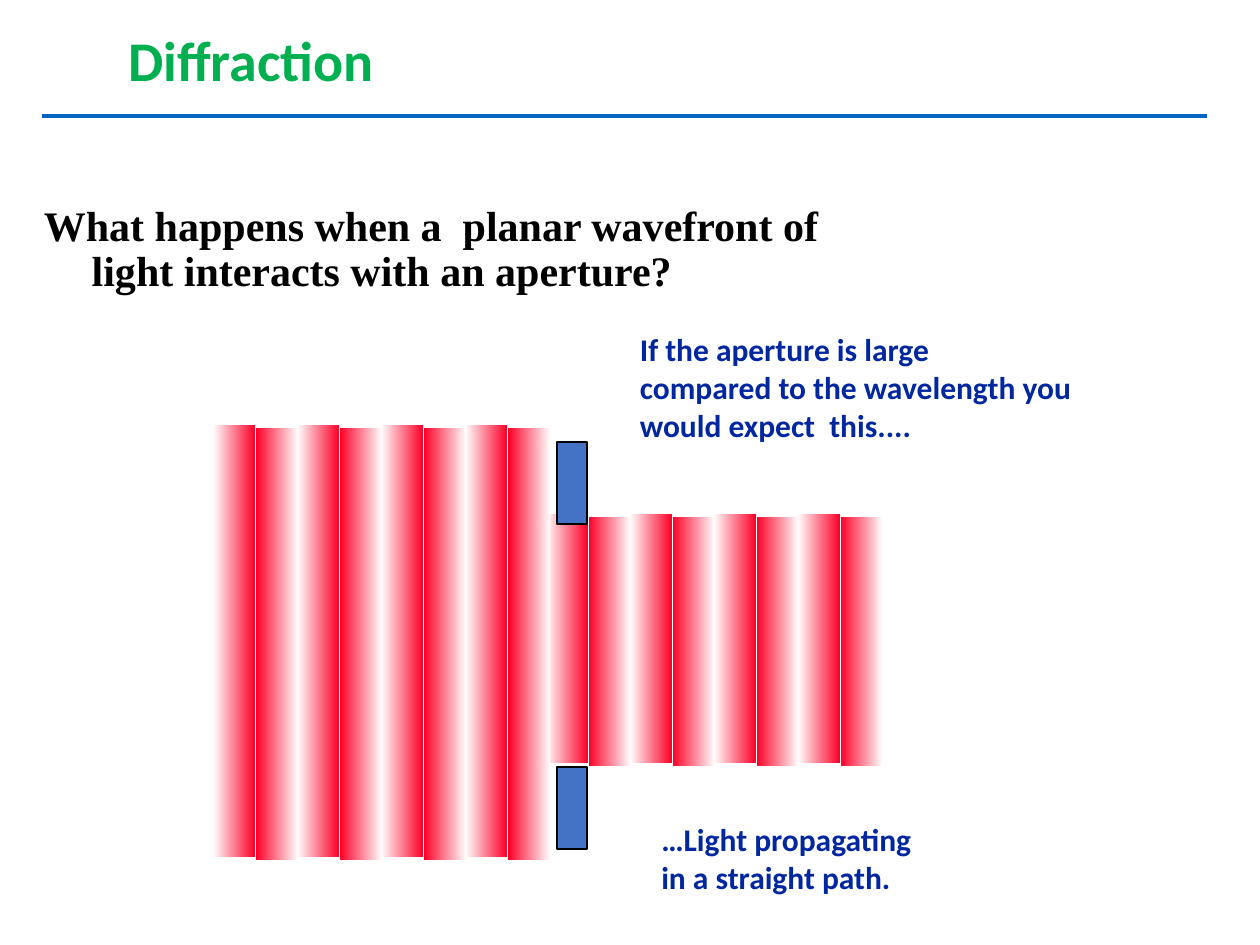
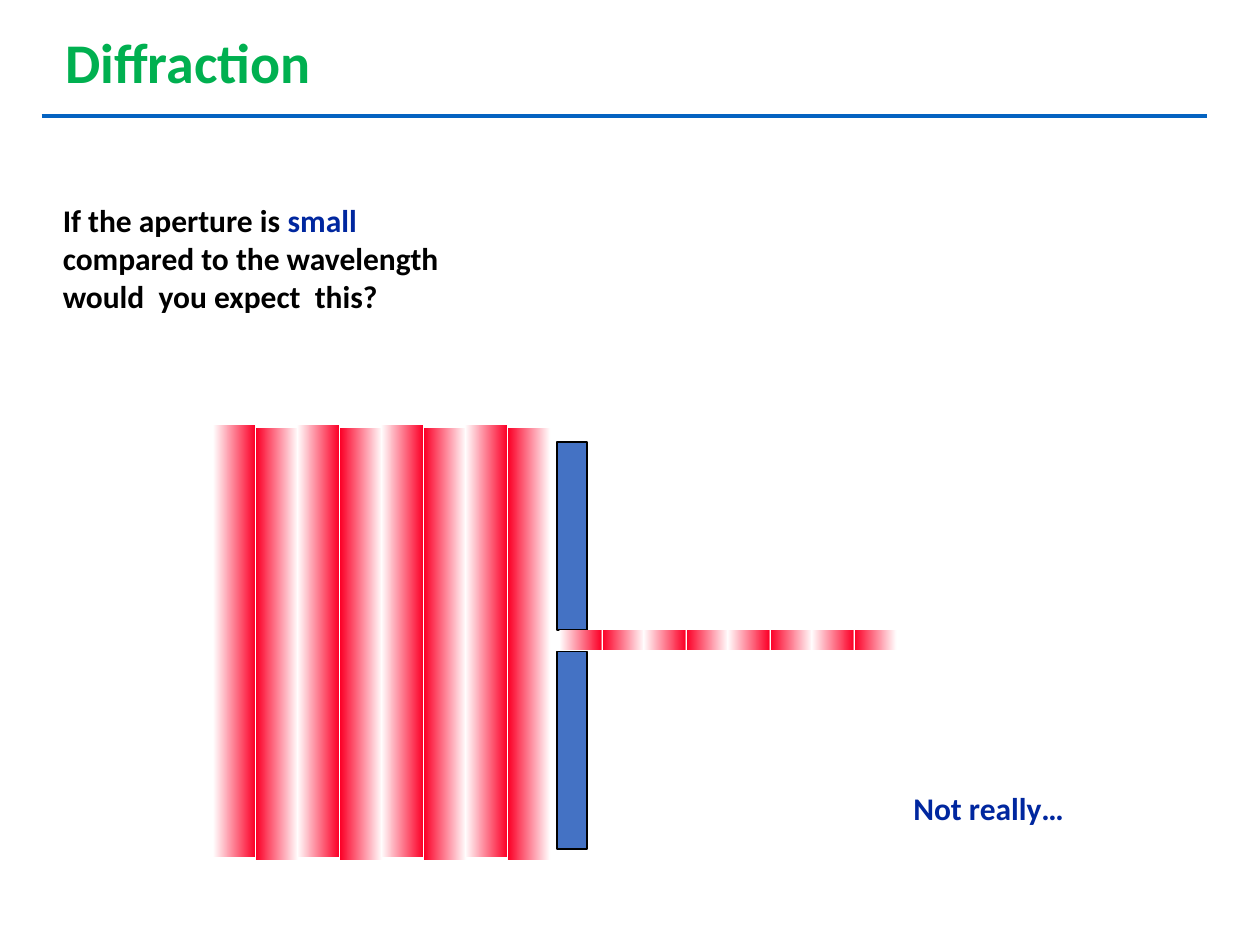
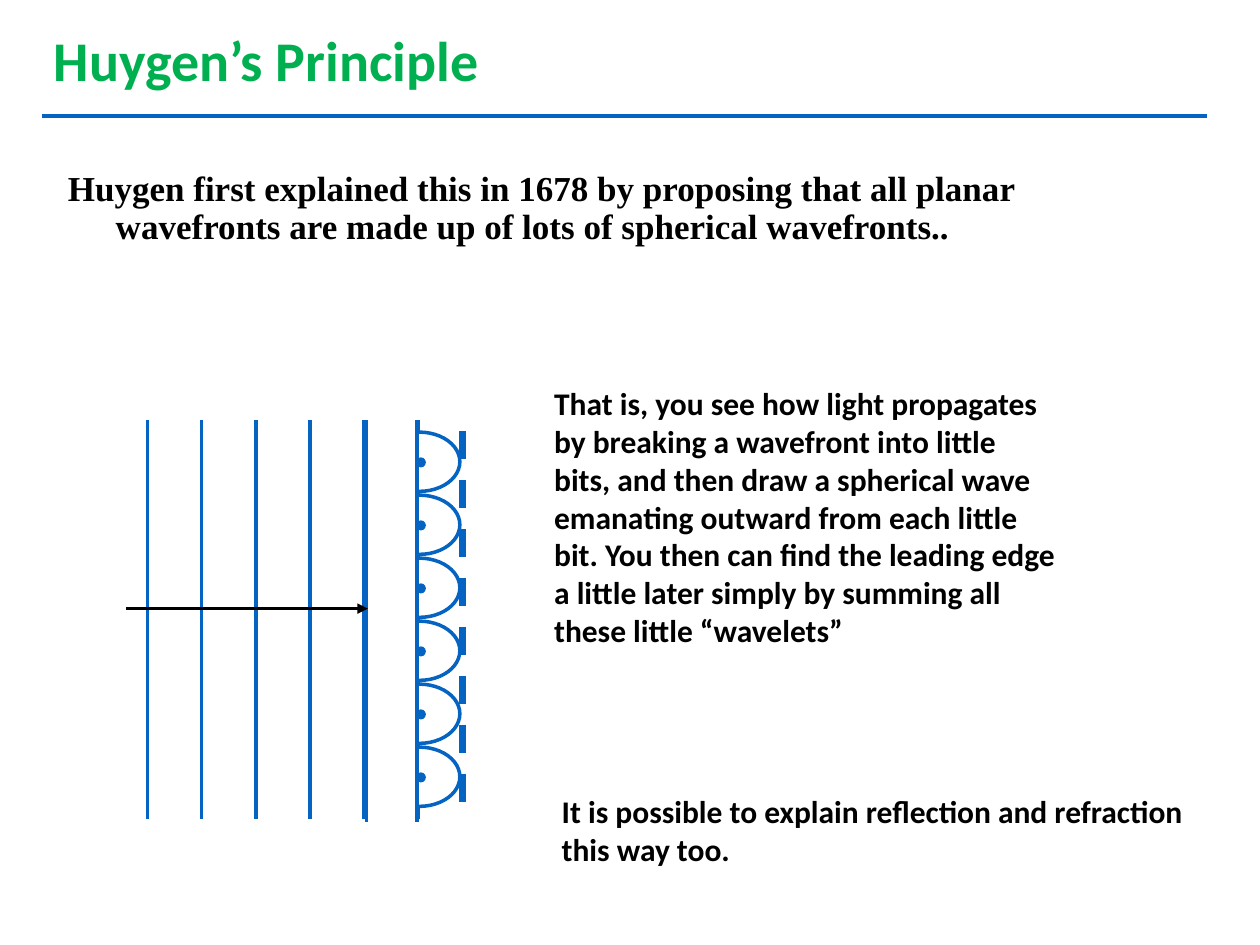
from dataclasses import dataclass

from lxml import etree
from pptx import Presentation
from pptx.dml.color import RGBColor
from pptx.enum.dml import MSO_LINE
from pptx.enum.shapes import MSO_CONNECTOR, MSO_SHAPE
from pptx.enum.text import MSO_ANCHOR, PP_ALIGN
from pptx.oxml.ns import qn
from pptx.util import Inches, Pt

RECTANGLE, OVAL = MSO_SHAPE.RECTANGLE, MSO_SHAPE.OVAL
STRAIGHT = MSO_CONNECTOR.STRAIGHT
DASH = MSO_LINE.DASH
TOP, MIDDLE = MSO_ANCHOR.TOP, MSO_ANCHOR.MIDDLE
LEFT = PP_ALIGN.LEFT


@dataclass(frozen=True)
class Theme:
    title: str = "00B050"
    text: str = "000000"
    note: str = "00279F"
    rule: str = "0563C1"
    barrier: str = "4472C4"
    light: str = "FC0128"
    paper: str = "FFFFFF"
    sans: str = "Calibri"
    serif: str = "Times New Roman"
    title_size: int = 32
    question_size: int = 24
    statement_size: int = 20
    body_size: int = 18


THEME = Theme()

# Areas are (left, top, width, height) in inches.
LARGE_APERTURE = {
    "title": ("Diffraction", (0.92, 0.17, 8.5, 0.67), 0.9),
    "question": ("What happens when a  planar wavefront of light interacts with an aperture?",
                 (0.25, 1.58, 7, 1.92)),
    "expectation": (["If the aperture is large",
                     "compared to the wavelength you",
                     "would expect  this...."], (4.98, 2.57, 4.81, 1.3)),
    "outcome": (["…Light propagating", "in a straight path."], (5.15, 6.46, 3.22, 0.9)),
    "barriers": [(3.51, 0.65), (6.09, 0.65)],
}
SMALL_APERTURE = {
    "title": ("Diffraction", (0.42, 0.17, 5.59, 0.63), 1.0),
    "expectation": (["If the aperture is small",
                     "compared to the wavelength",
                     "would  you expect  this?"], (0.4, 1.55, 5.43, 1.3)),
    "emphasis": "small",
    "outcome": (["Not really…"], (7.15, 6.21, 1.95, 0.5)),
    "barriers": [(3.51, 1.49), (5.17, 1.57)],
}
HUYGEN = {
    "title": ("Huygen’s Principle", (0.33, 0.17, 8.92, 0.67), 0.9),
    "statement": ("Huygen first explained this in 1678 by proposing that all planar "
                  "wavefronts are made up of lots of spherical wavefronts..",
                  (0.44, 1.31, 8.75, 1.3)),
    "explanation": (["That is, you see how light propagates",
                     "by breaking a wavefront into little",
                     "bits, and then draw a spherical wave",
                     "emanating outward from each little",
                     "bit. You then can find the leading edge",
                     "a little later simply by summing all",
                     "these little “wavelets”"], (4.3, 3, 5.76, 2.89)),
    "remark": (["It is possible to explain reflection and refraction this way too."],
               (4.36, 6.24, 5.51, 0.9)),
}

BARRIER_LEFT, BARRIER_WIDTH = 4.42, 0.24
WAVELENGTH = 2 / 3
WAVE_COUNT = 4
INCOMING = {"left": 1.69, "top": 3.37, "height": 3.43, "drop": 0.03}
WIDE_BEAM = {"left": 4.33, "top": 4.08, "height": 1.98, "drop": 0.02}
THIN_BEAM = {"left": 4.44, "top": 5, "height": 0.16, "drop": 0}
FRONT_COUNT, FRONT_LEFT, FRONT_PITCH = 6, 1.17, 0.43
FRONT_TOP, FRONT_BOTTOM = 3.33, 6.5
WAVELET_COUNT, WAVELET_TOP, WAVELET_PITCH = 6, 3.43, 0.5


def color(value):
    return RGBColor.from_string(value)


def add_text(slide, lines, area, size=THEME.body_size, ink=THEME.text, font=THEME.sans,
             spacing=1.0, hanging=0, anchor=TOP, emphasis=None):
    """Write one paragraph per line, with the emphasis word in the note colour."""
    frame = slide.shapes.add_textbox(*map(Inches, area)).text_frame
    frame.word_wrap = True
    frame.vertical_anchor = anchor
    for index, line in enumerate(lines):
        paragraph = frame.paragraphs[0] if index == 0 else frame.add_paragraph()
        paragraph.alignment = LEFT
        paragraph.line_spacing = spacing
        if hanging:
            properties = paragraph._p.get_or_add_pPr()
            properties.set("marL", str(Inches(hanging)))
            properties.set("indent", str(-Inches(hanging)))
        pieces = line.partition(emphasis) if emphasis else (line,)
        for piece in filter(None, pieces):
            run = paragraph.add_run()
            run.text = piece
            run.font.name = font
            run.font.size = Pt(size)
            run.font.bold = True
            run.font.color.rgb = color(THEME.note if piece == emphasis else ink)


def add_figure(shapes, kind, area, fill=None, line=None, weight=1):
    shape = shapes.add_shape(kind, *map(Inches, area))
    shape.shadow.inherit = False
    if fill:
        shape.fill.solid()
        shape.fill.fore_color.rgb = color(fill)
    if line:
        shape.line.color.rgb = color(line)
        shape.line.width = Pt(weight)
    else:
        shape.line.fill.background()
    return shape


def add_line(slide, start, end, ink, weight, dash=None, arrow=False):
    connector = slide.shapes.add_connector(STRAIGHT, *map(Inches, start + end))
    connector.line.color.rgb = color(ink)
    connector.line.width = Pt(weight)
    if dash:
        connector.line.dash_style = dash
    if arrow:
        etree.SubElement(connector.line._get_or_add_ln(), qn("a:tailEnd"), type="triangle")
    etree.SubElement(connector._element.spPr, qn("a:effectLst"))


def add_wave(slide, left, top, height, drop):
    """Draw light as pairs of bands, one brightening and one fading."""
    group = slide.shapes.add_group_shape()
    half = WAVELENGTH / 2
    for index in range(2 * WAVE_COUNT):
        fading = index % 2
        area = (left + index * half + 0.01 * fading, top + drop * fading, half, height)
        band = add_figure(group.shapes, RECTANGLE, area)
        band.fill.gradient()
        band.fill.gradient_angle = 0
        ends = (THEME.light, THEME.paper) if fading else (THEME.paper, THEME.light)
        for stop, end in zip(band.fill.gradient_stops, ends):
            stop.color.rgb = color(end)


def add_barriers(slide, spans):
    for top, height in spans:
        add_figure(slide.shapes, RECTANGLE, (BARRIER_LEFT, top, BARRIER_WIDTH, height),
                   THEME.barrier, THEME.text)


def add_slide(presentation, title):
    slide = presentation.slides.add_slide(presentation.slide_layouts[6])
    text, area, spacing = title
    add_text(slide, [text], area, THEME.title_size, THEME.title, spacing=spacing, anchor=MIDDLE)
    add_line(slide, (0.33, 0.92), (9.58, 0.92), THEME.rule, 2.25)
    return slide


def add_lead(slide, lead, size):
    text, area = lead
    add_text(slide, [text], area, size, font=THEME.serif, spacing=0.9, hanging=0.38)


def build_large_aperture(presentation):
    content = LARGE_APERTURE
    slide = add_slide(presentation, content["title"])
    add_lead(slide, content["question"], THEME.question_size)
    add_wave(slide, **WIDE_BEAM)
    add_wave(slide, **INCOMING)
    add_barriers(slide, content["barriers"])
    for part in ("expectation", "outcome"):
        add_text(slide, *content[part], ink=THEME.note)


def build_small_aperture(presentation):
    content = SMALL_APERTURE
    slide = add_slide(presentation, content["title"])
    add_text(slide, *content["expectation"], emphasis=content["emphasis"])
    add_wave(slide, **INCOMING)
    add_barriers(slide, content["barriers"])
    add_wave(slide, **THIN_BEAM)
    add_text(slide, *content["outcome"], ink=THEME.note)


def add_wavelets(slide):
    """Draw planar fronts, then wavelets whose left halves are masked."""
    shapes = slide.shapes
    for index in range(FRONT_COUNT):
        x = FRONT_LEFT + index * FRONT_PITCH
        add_line(slide, (x, FRONT_TOP), (x, FRONT_BOTTOM), THEME.rule, 2)
    wavelet_tops = [WAVELET_TOP + index * WAVELET_PITCH for index in range(WAVELET_COUNT)]
    for top in wavelet_tops:
        add_figure(shapes, OVAL, (3.01, top, 0.64, 0.47), THEME.paper, THEME.rule, 2)
    add_figure(shapes, RECTANGLE, (2.91, 3.26, 0.4, 3.31), THEME.paper, THEME.rule, 2)
    for top in (3.08, 6.53):
        add_figure(shapes, RECTANGLE, (0.96, top, 2.72, 0.25), THEME.paper, THEME.paper)
    add_line(slide, (3.67, 3.42), (3.67, 6.42), THEME.rule, 4, dash=DASH)
    add_line(slide, (1, 4.83), (2.92, 4.83), THEME.text, 2, arrow=True)
    for top in wavelet_tops:
        add_figure(shapes, OVAL, (3.3, top + 0.2, 0.08, 0.08), THEME.rule)


def build_huygen(presentation):
    slide = add_slide(presentation, HUYGEN["title"])
    add_lead(slide, HUYGEN["statement"], THEME.statement_size)
    for part in ("explanation", "remark"):
        add_text(slide, *HUYGEN[part])
    add_wavelets(slide)


def main():
    presentation = Presentation()
    presentation.slide_width = Inches(10)
    presentation.slide_height = Inches(7.5)
    build_large_aperture(presentation)
    build_small_aperture(presentation)
    build_huygen(presentation)
    presentation.save("out.pptx")


if __name__ == "__main__":
    main()
